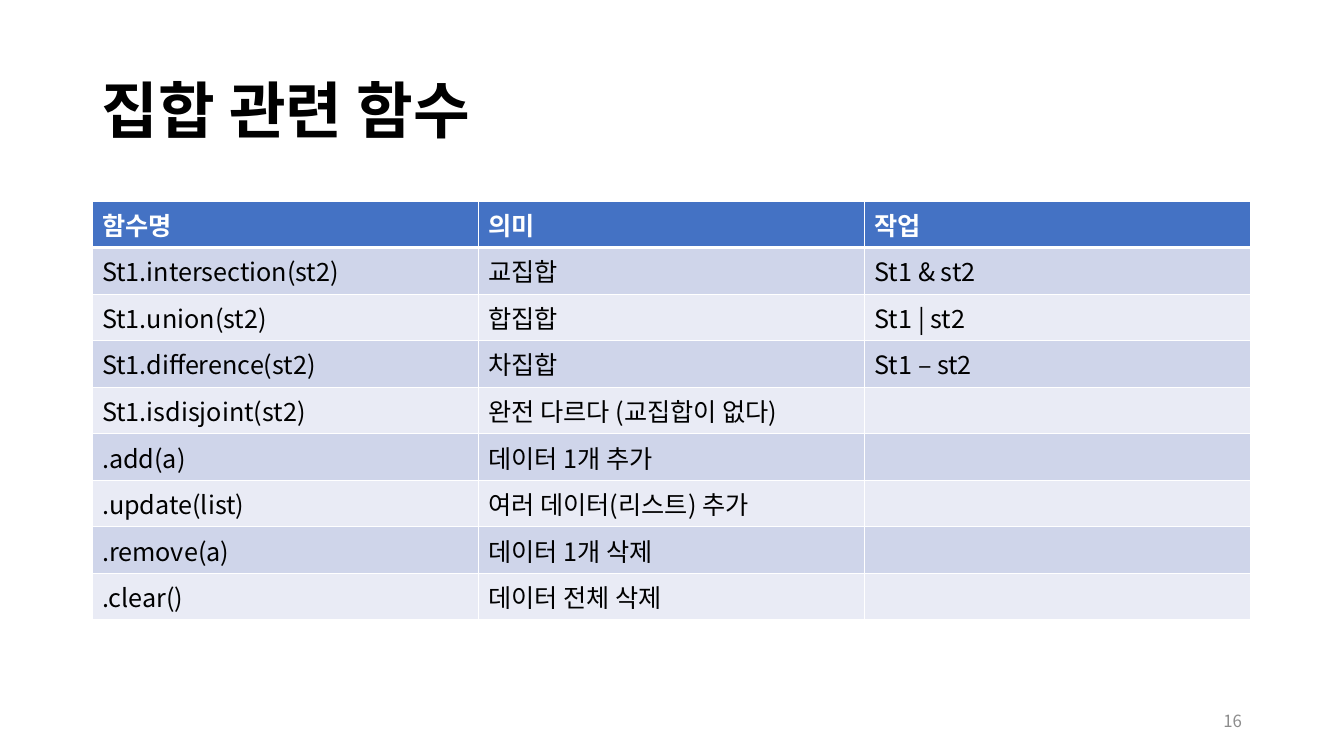
from dataclasses import dataclass

from lxml.etree import SubElement
from pptx import Presentation
from pptx.dml.color import RGBColor
from pptx.enum.text import MSO_ANCHOR as Anchor, PP_ALIGN as Align
from pptx.oxml.ns import qn
from pptx.util import Pt

TITLE = "집합 관련 함수"
PAGE_NUMBER = "16"
HEADER = ("함수명", "의미", "작업")
FUNCTIONS = [
    ("St1.intersection(st2)", "교집합", "St1 & st2"),
    ("St1.union(st2)", "합집합", "St1 | st2"),
    ("St1.difference(st2)", "차집합", "St1 – st2"),
    ("St1.isdisjoint(st2)", "완전 다르다 (교집합이 없다)", ""),
    (".add(a)", "데이터 1개 추가", ""),
    (".update(list)", "여러 데이터(리스트) 추가", ""),
    (".remove(a)", "데이터 1개 삭제", ""),
    (".clear()", "데이터 전체 삭제", ""),
]


@dataclass(frozen=True)
class Theme:
    font: str = "Noto Sans CJK KR"
    ink: str = "000000"
    white: str = "FFFFFF"
    muted: str = "8C8C8C"
    header: str = "4472C4"
    bands: tuple = ("CFD5EA", "E9EBF5")
    title_size: int = 44
    table_size: int = 18
    number_size: int = 12
    border: int = 1
    header_border: int = 3


THEME = Theme()
SCALE = 914400 / 100.8
SLIDE_WIDTH, SLIDE_HEIGHT = 1344, 756
LEFT, CONTENT_WIDTH = 92, 1159
TITLE_TOP, TITLE_HEIGHT = 41, 146
TABLE_TOP, TABLE_HEIGHT = 201, 419
NUMBER_LEFT, NUMBER_TOP, NUMBER_WIDTH, NUMBER_HEIGHT = 950, 701, 302, 40


def px(length):
    return round(length * SCALE)


def write_text(frame, text, size, color=THEME.ink, bold=False, align=Align.LEFT, spacing=1.0):
    paragraph = frame.paragraphs[0]
    paragraph.alignment = align
    paragraph.line_spacing = spacing
    paragraph.font.size = Pt(size)
    if not text:
        return
    run = paragraph.add_run()
    run.text = text
    run.font.size = Pt(size)
    run.font.bold = bold
    run.font.name = THEME.font
    run.font.color.rgb = RGBColor.from_string(color)


def add_text_box(slide, box, text, **text_format):
    shape = slide.shapes.add_textbox(*map(px, box))
    frame = shape.text_frame
    frame.word_wrap = True
    frame.vertical_anchor = Anchor.MIDDLE
    write_text(frame, text, **text_format)


def add_borders(cell, top, bottom):
    properties = cell._tc.get_or_add_tcPr()
    widths = {"L": THEME.border, "R": THEME.border, "T": top, "B": bottom}
    for side, width in widths.items():
        line = SubElement(properties, qn(f"a:ln{side}"), w=str(Pt(width)))
        fill = SubElement(line, qn("a:solidFill"))
        SubElement(fill, qn("a:srgbClr"), val=THEME.white)


def add_function_table(slide):
    rows = [HEADER, *FUNCTIONS]
    table = slide.shapes.add_table(
        len(rows), len(HEADER), px(LEFT), px(TABLE_TOP),
        px(CONTENT_WIDTH), px(TABLE_HEIGHT),
    ).table
    for row_index, row in enumerate(rows):
        is_header = row_index == 0
        background = THEME.header if is_header else THEME.bands[(row_index - 1) % 2]
        top = THEME.header_border if row_index == 1 else THEME.border
        bottom = THEME.header_border if is_header else THEME.border
        for column_index, text in enumerate(row):
            cell = table.cell(row_index, column_index)
            add_borders(cell, top, bottom)
            cell.fill.solid()
            cell.fill.fore_color.rgb = RGBColor.from_string(background)
            write_text(cell.text_frame, text, size=THEME.table_size, bold=is_header,
                       color=THEME.white if is_header else THEME.ink)


def main():
    presentation = Presentation()
    presentation.slide_width = px(SLIDE_WIDTH)
    presentation.slide_height = px(SLIDE_HEIGHT)
    slide = presentation.slides.add_slide(presentation.slide_layouts[6])
    add_text_box(slide, (LEFT, TITLE_TOP, CONTENT_WIDTH, TITLE_HEIGHT), TITLE,
                 size=THEME.title_size, bold=True, spacing=0.9)
    add_function_table(slide)
    add_text_box(slide, (NUMBER_LEFT, NUMBER_TOP, NUMBER_WIDTH, NUMBER_HEIGHT), PAGE_NUMBER,
                 size=THEME.number_size, color=THEME.muted, align=Align.RIGHT)
    presentation.save("out.pptx")


if __name__ == "__main__":
    main()
